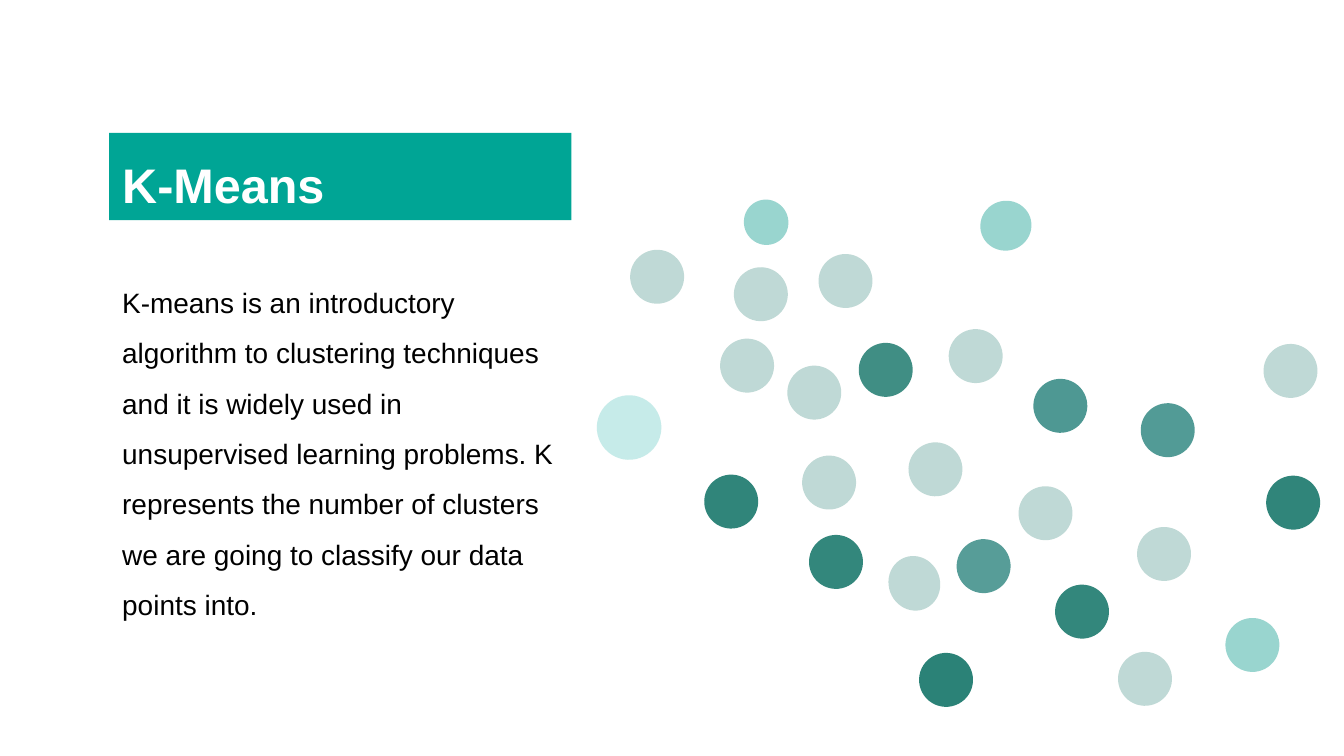
from lxml import etree
from pptx import Presentation
from pptx import util as u
from pptx.dml.color import RGBColor
from pptx.enum import shapes, text
from pptx.oxml.ns import qn

TITLE = "K-Means"
BODY = ("K-means is an introductory algorithm to clustering techniques and it is "
        "widely used in unsupervised learning problems. K represents the number of "
        "clusters we are going to classify our data points into.")
DOT = 1.02  # usual dot diameter, cm

# (colour, opacity in %): dots as left, top and, where unusual, width, height in cm
DOTS = {
    ("00695C", 25): [
        (16.76, 10.54, 1.04, 0.97), (11.91, 4.72), (23.88, 6.5), (15.47, 4.8),
        (17.93, 6.22), (13.61, 6.4), (13.87, 5.05), (14.88, 6.91), (17.17, 8.36),
        (15.16, 8.61), (19.25, 9.19), (21.49, 9.96), (21.13, 12.32)],
    ("00695C", 75): [(16.23, 6.48)],
    ("00695C", 80): [(15.29, 10.11), (19.94, 11.05)],
    ("00695C", 81): [(23.93, 8.99), (13.31, 8.97)],
    ("00695C", 83): [(17.37, 12.34)],
    ("2D857F", 80): [(18.08, 10.19)],
    ("2D857F", 82): [(21.56, 7.62)],
    ("2D857F", 84): [(19.53, 7.16)],
    ("009688", 40): [
        (18.54, 3.78, 0.94, 0.97), (14.05, 3.78, 0.86, 0.84), (23.16, 11.68)],
    ("B9E7E4", 81): [(11.28, 7.47, 1.22, 1.22)],
}


def paint(fill, color, opacity=100):
    fill.solid()
    fill.fore_color.rgb = RGBColor.from_string(color)
    if opacity < 100:
        clr = fill._xPr.find(qn("a:solidFill"))[0]
        etree.SubElement(clr, qn("a:alpha")).set("val", str(opacity * 1000))


def place(sp, left, top, width, height):
    sp.left, sp.top = u.Cm(left), u.Cm(top)
    sp.width, sp.height = u.Cm(width), u.Cm(height)


def write(sp, words, size, color, spacing, bold=False):
    tf = sp.text_frame
    tf.word_wrap = True
    tf.auto_size = text.MSO_AUTO_SIZE.NONE
    tf.vertical_anchor = text.MSO_ANCHOR.TOP
    tf.margin_left = tf.margin_right = tf.margin_top = tf.margin_bottom = u.Cm(0.25)
    p = tf.paragraphs[0]
    p.alignment = text.PP_ALIGN.LEFT
    p.line_spacing = spacing
    r = p.add_run()
    r.text = words
    r.font.name, r.font.size, r.font.bold = "Arial", u.Pt(size), bold
    paint(r.font.fill, color)


def add_title(s):
    sp = s.shapes.title
    place(sp, 2.06, 2.51, 8.74, 1.65)
    paint(sp.fill, "00A595")
    write(sp, TITLE, 26, "FFFFFF", 1.15, bold=True)


def add_body(s):
    sp = s.shapes.add_textbox(u.Cm(2.06), u.Cm(4.83), u.Cm(9.04), u.Cm(7.8))
    write(sp, BODY, 15, "000000", 1.5)


def add_dot(s, color, opacity, left, top, width=DOT, height=DOT):
    sp = s.shapes.add_shape(shapes.MSO_SHAPE.OVAL, u.Cm(left), u.Cm(top),
                            u.Cm(width), u.Cm(height))
    sp.rotation = 250
    sp.shadow.inherit = False
    sp.line.fill.background()
    paint(sp.fill, color, opacity)


def main():
    prs = Presentation()
    prs.slide_width, prs.slide_height = u.Cm(25.4), u.Cm(14.29)
    s = prs.slides.add_slide(prs.slide_layouts[5])
    add_title(s)
    add_body(s)
    for (color, opacity), dots in DOTS.items():
        for dot in dots:
            add_dot(s, color, opacity, *dot)
    prs.save("out.pptx")


if __name__ == "__main__":
    main()
